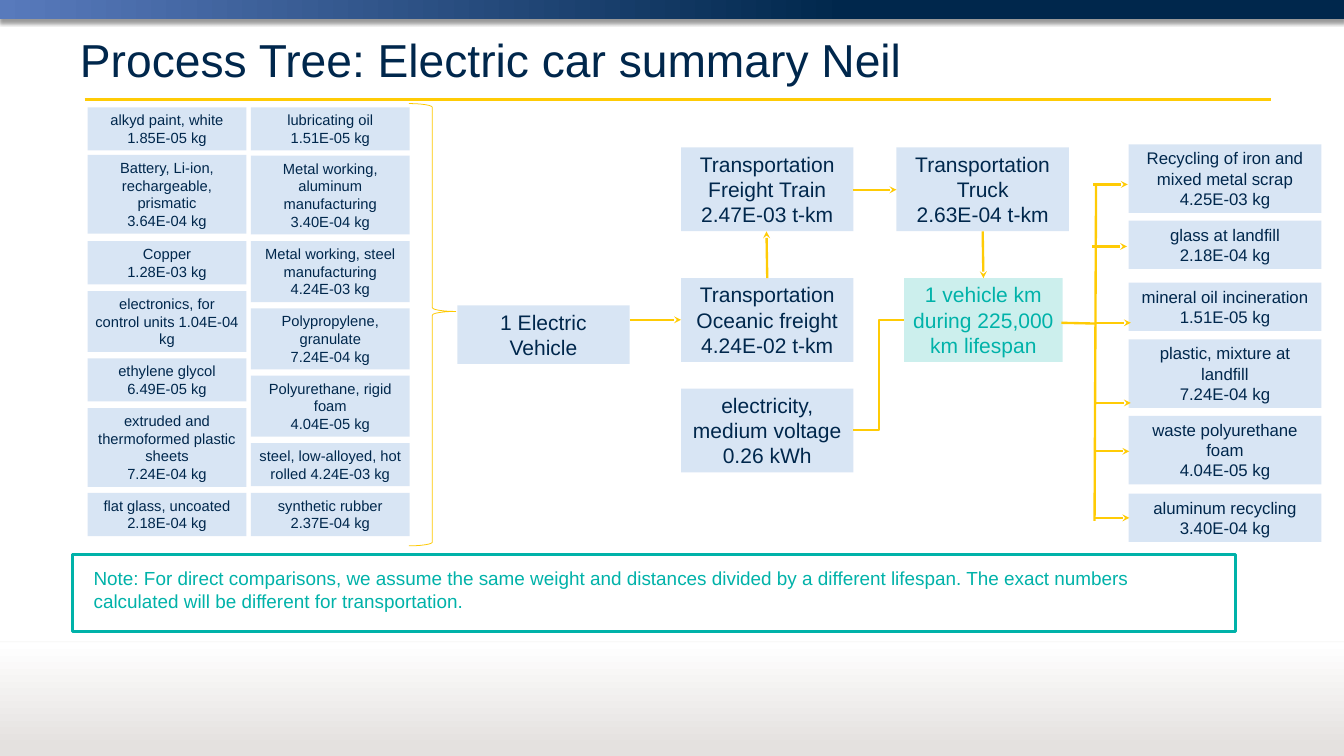
from dataclasses import dataclass
from typing import Optional

from lxml.etree import SubElement as Sub
from pptx import Presentation
from pptx.dml.color import RGBColor as Rgb
from pptx.enum.shapes import MSO_CONNECTOR as Link, MSO_SHAPE as Kind
from pptx.enum.text import MSO_ANCHOR as Anchor, MSO_AUTO_SIZE as Fit, PP_ALIGN as Align
from pptx.oxml.ns import qn
from pptx.util import Inches, Pt


@dataclass(frozen=True)
class Theme:
    font: str = "Arial"
    navy: str = "00274C"
    blue: str = "407EC9"
    sky: str = "587ABC"
    teal: str = "00B2A9"
    gold: str = "FFCB05"
    brace: str = "FEC900"
    gray: str = "E4E1DF"
    white: str = "FFFFFF"
    black: str = "000000"
    title: int = 44
    stage: int = 20
    note: int = 18
    waste: int = 16
    input: int = 14
    tint: int = 20
    pitch: float = 1.21 / 72


@dataclass(frozen=True)
class Box:
    left: float
    top: float
    lines: int
    text: str


@dataclass(frozen=True)
class Wire:
    x1: float
    y1: float
    x2: float
    y2: float
    head: bool = True
    kind: Link = Link.STRAIGHT


T = Theme()

INPUTS = [Box(left, *row) for left, rows in (
    (1.16, [
        (1.42, 2, "alkyd paint, white\n1.85E-05 kg"),
        (2.05, 4, "Battery, Li-ion, rechargeable, prismatic\n3.64E-04 kg"),
        (3.19, 2, "Copper\n1.28E-03 kg"),
        (3.85, 3, "electronics, for control units 1.04E-04 kg"),
        (4.74, 2, "ethylene glycol\n6.49E-05 kg"),
        (5.4, 4, "extruded and thermoformed plastic sheets\n7.24E-04 kg"),
        (6.52, 2, "flat glass, uncoated\n2.18E-04 kg"),
    ]),
    (3.32, [
        (1.42, 2, "lubricating oil\n1.51E-05 kg"),
        (2.06, 4, "Metal working, aluminum manufacturing\n3.40E-04 kg"),
        (3.19, 3, "Metal working, steel manufacturing\n4.24E-03 kg"),
        (4.08, 3, "Polypropylene, granulate\n7.24E-04 kg"),
        (4.97, 3, "Polyurethane, rigid foam\n4.04E-05 kg"),
        (5.86, 2, "steel, low-alloyed, hot rolled 4.24E-03 kg"),
        (6.52, 2, "synthetic rubber\n2.37E-04 kg"),
    ]),
) for row in rows]

STAGES = [
    Box(6.05, 4.04, 2, "1 Electric Vehicle"),
    Box(9.01, 1.95, 3, "Transportation\nFreight Train\n2.47E-03 t-km"),
    Box(9.01, 3.68, 3, "Transportation\nOceanic freight\n4.24E-02 t-km"),
    Box(9.01, 5.14, 3, "electricity, medium voltage\n0.26 kWh"),
    Box(11.86, 1.95, 3, "Transportation\nTruck\n2.63E-04 t-km"),
]
GOAL = [Box(11.96, 3.68, 3, "1 vehicle km\nduring 225,000 km lifespan")]

WASTES = [Box(14.93, *row) for row in (
    (1.91, 3, "Recycling of iron and mixed metal scrap 4.25E-03 kg"),
    (2.92, 2, "glass at landfill 2.18E-04 kg"),
    (3.74, 2, "mineral oil incineration\n1.51E-05 kg"),
    (4.49, 3, "plastic, mixture at landfill\n7.24E-04 kg"),
    (5.5, 3, "waste polyurethane foam\n4.04E-05 kg"),
    (6.53, 2, "aluminum recycling 3.40E-04 kg"),
)]

SPURS = ((14.46, 2.44), (14.45, 3.26), (14.5, 4.27),
         (14.5, 5.33), (14.48, 5.97), (14.48, 6.85))
WIRES = [
    Wire(8.33, 4.23, 9.01, 4.23),
    Wire(10.15, 3.68, 10.14, 3.06),
    Wire(11.28, 2.51, 11.86, 2.51),
    Wire(13, 3.06, 13.01, 3.68),
    Wire(11.29, 5.69, 11.96, 4.23, False, Link.ELBOW),
    Wire(14.04, 4.27, 14.5, 4.28, False),
    Wire(14.5, 2.44, 14.48, 6.89, False),
] + [Wire(x, y, x + 0.46, y) for x, y in SPURS]


def fade(shape, percent: int) -> None:
    tone = next(shape._element.spPr.iter(qn("a:srgbClr")))
    Sub(tone, qn("a:alpha"), val=str(percent * 1000))


def shade(shape, percent: int, blur: float, dist: float) -> None:
    glow = shape._element.spPr.find(qn("a:effectLst"))
    cast = Sub(glow, qn("a:outerShdw"), blurRad=str(Pt(blur)), dist=str(Pt(dist)),
               dir="5400000", algn="t", rotWithShape="0")
    tone = Sub(cast, qn("a:srgbClr"), val=T.black)
    Sub(tone, qn("a:alpha"), val=str(percent * 1000))


def panel(slide, left: float, top: float, width: float, height: float,
          kind: Kind = Kind.RECTANGLE, fill: Optional[str] = None,
          line: Optional[str] = None, weight: float = 0.75):
    shape = slide.shapes.add_shape(
        kind, Inches(left), Inches(top), Inches(width), Inches(height))
    shape.shadow.inherit = False
    if fill:
        shape.fill.solid()
        shape.fill.fore_color.rgb = Rgb.from_string(fill)
    else:
        shape.fill.background()
    if line:
        shape.line.color.rgb = Rgb.from_string(line)
        shape.line.width = Pt(weight)
    else:
        shape.line.fill.background()
    return shape


def blend(shape, angle: int, *stops: tuple[float, str]) -> None:
    shape.fill.gradient()
    shape.fill.gradient_angle = angle
    for stop, (place, tone) in zip(shape.fill.gradient_stops, stops):
        stop.position = place
        stop.color.rgb = Rgb.from_string(tone)


def write(shape, text: str, *, size: int, color: str = T.navy,
          align: Align = Align.LEFT, anchor: Anchor = Anchor.TOP,
          fit: Fit = Fit.SHAPE_TO_FIT_TEXT) -> None:
    frame = shape.text_frame
    frame.text = text
    frame.word_wrap = True
    frame.auto_size = fit
    frame.vertical_anchor = anchor
    for para in frame.paragraphs:
        para.alignment = align
        para.font.name = T.font
        para.font.size = Pt(size)
        para.font.color.rgb = Rgb.from_string(color)


def label(slide, left: float, top: float, width: float, height: float,
          text: str, **style) -> None:
    area = slide.shapes.add_textbox(
        Inches(left), Inches(top), Inches(width), Inches(height))
    write(area, text, **style)


def boxes(slide, items: list[Box], width: float, size: int,
          fill: str = T.blue, color: str = T.navy) -> None:
    for item in items:
        height = 0.1 + item.lines * size * T.pitch
        shape = panel(slide, item.left, item.top, width, height, fill=fill)
        fade(shape, T.tint)
        write(shape, item.text, size=size, color=color, align=Align.CENTER)


def wire(slide, item: Wire, color: str = T.gold, weight: float = 2.25):
    link = slide.shapes.add_connector(
        item.kind, Inches(item.x1), Inches(item.y1), Inches(item.x2), Inches(item.y2))
    link.line.color.rgb = Rgb.from_string(color)
    link.line.width = Pt(weight)
    if item.head:
        Sub(link.line._get_or_add_ln(), qn("a:tailEnd"), type="stealth")
    Sub(link._element.spPr, qn("a:effectLst"))
    return link


def trim(slide, width: float) -> None:
    band = panel(slide, 0, 0, width, 0.25)
    blend(band, 0, (0, T.sky), (0.63, T.navy))
    shade(band, 40, 4, 3)
    wire(slide, Wire(1.12, 1.32, 16.81, 1.32, False), weight=3)
    foot = panel(slide, 0, 8.5, width, 1.5)
    blend(foot, 90, (0.08, T.gray), (1, T.white))
    rule = wire(slide, Wire(0, 8.49, width, 8.49, False), T.gray, 0.75)
    fade(rule, 30)
    shade(rule, 38, 3.1, 1.6)


def main() -> None:
    deck = Presentation()
    wide, high = 17.78, 10
    deck.slide_width, deck.slide_height = Inches(wide), Inches(high)
    slide = deck.slides.add_slide(deck.slide_layouts[6])
    trim(slide, wide)
    label(slide, 0.96, 0.3, 16, 0.95, "Process Tree: Electric car summary Neil",
          size=T.title, anchor=Anchor.MIDDLE, fit=Fit.NONE)
    panel(slide, 0.96, 7.34, 15.39, 1.01, line=T.teal, weight=3)
    label(slide, 1.14, 7.45, 14.94, 0.71,
          "Note: For direct comparisons, we assume the same weight and distances "
          "divided by a different lifespan. The exact numbers calculated will be "
          "different for transportation.", size=T.note, color=T.teal)
    boxes(slide, INPUTS, 2.1, T.input)
    boxes(slide, STAGES, 2.28, T.stage)
    boxes(slide, GOAL, 2.1, T.stage, T.teal, T.teal)
    boxes(slide, WASTES, 2.55, T.waste)
    brace = panel(slide, 5.41, 1.37, 0.62, 5.85, Kind.RIGHT_BRACE, line=T.brace)
    brace.adjustments[0], brace.adjustments[1] = 0.08, 0.47
    for item in WIRES:
        wire(slide, item)
    deck.save("out.pptx")


if __name__ == "__main__":
    main()
